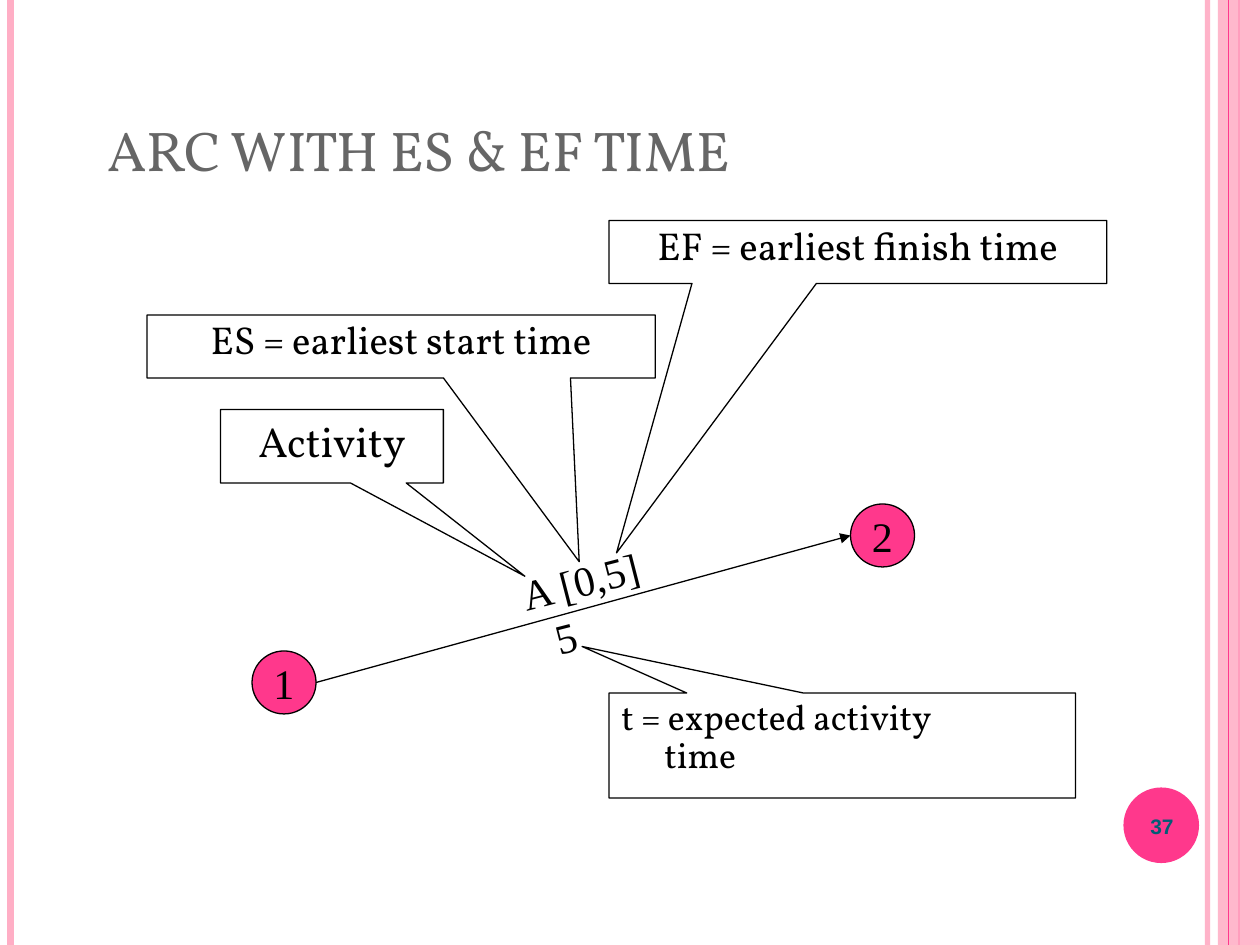
from pptx import Presentation
from pptx.dml.color import RGBColor
from pptx.enum.shapes import MSO_CONNECTOR, MSO_SHAPE
from pptx.enum.text import MSO_ANCHOR, PP_ALIGN
from pptx.oxml.ns import qn
from pptx.util import Pt
from lxml.etree import SubElement

PINK, PALE, BLACK, WHITE = "FF388C", "FFAEC5", "000000", "FFFFFF"
SERIF, ROMAN = "Vollkorn", "Times New Roman"
WIDTH, HEIGHT = 720, 540


def rgb(color):
    """Turn a hex string into a colour."""
    return RGBColor.from_string(color)


def set_alpha(fill, percent):
    """Make a solid fill partly transparent."""
    color = fill._xPr.find(qn("a:solidFill"))[0]
    SubElement(color, qn("a:alpha")).set("val", str(percent * 1000))


def write(shape, lines, size, font, color=BLACK, bold=False,
          align=PP_ALIGN.CENTER, anchor=MSO_ANCHOR.TOP, spacing=None,
          wrap=True, indent=0):
    """Write one paragraph per line; lines after the first are indented."""
    tf = shape.text_frame
    tf.word_wrap, tf.vertical_anchor = wrap, anchor
    for i, line in enumerate(lines):
        p = tf.paragraphs[0] if i == 0 else tf.add_paragraph()
        p.alignment = align
        if spacing:
            p.line_spacing = spacing
        if i and indent:
            p._p.get_or_add_pPr().set("marL", str(Pt(indent)))
        r = p.add_run()
        r.text = line
        r.font.size, r.font.name, r.font.bold = Pt(size), font, bold
        r.font.color.rgb = rgb(color)


def add_shape(s, kind, box, fill, outline=None):
    """Add a filled preset shape, with a thin outline if a colour is given."""
    sp = s.shapes.add_shape(kind, *map(Pt, box))
    sp.shadow.inherit = False
    sp.fill.solid()
    sp.fill.fore_color.rgb = rgb(fill)
    if outline:
        sp.line.color.rgb = rgb(outline)
        sp.line.width = Pt(0.74)
    else:
        sp.line.fill.background()
    return sp


def add_line(s, start, end, color, width, alpha=None, arrow=False):
    """Add a straight line, optionally transparent or with an arrowhead."""
    line = s.shapes.add_connector(MSO_CONNECTOR.STRAIGHT,
                                  *map(Pt, (*start, *end)))
    line.line.color.rgb = rgb(color)
    line.line.width = Pt(width)
    if alpha:
        set_alpha(line.line.fill, alpha)
    if arrow:
        SubElement(line.line._get_or_add_ln(), qn("a:tailEnd")).set("type", "triangle")
    SubElement(line._element.spPr, qn("a:effectLst"))


def add_node(s, label, left, top):
    """Add a numbered event node."""
    sp = add_shape(s, MSO_SHAPE.FLOWCHART_CONNECTOR, (left, top, 36.6, 36),
                   PINK, BLACK)
    write(sp, [label], 24, ROMAN, anchor=MSO_ANCHOR.MIDDLE, wrap=False)


def add_callout(s, lines, box, tip, size, **style):
    """Add a callout whose pointer ends at the tip."""
    sp = add_shape(s, MSO_SHAPE.RECTANGULAR_CALLOUT, box, WHITE, BLACK)
    left, top, width, height = box
    sp.adjustments[0] = (tip[0] - left) / width - 0.5
    sp.adjustments[1] = (tip[1] - top) / height - 0.5
    write(sp, lines, size, SERIF, **style)


def add_text(s, lines, box, size, font, **style):
    """Add a text box."""
    sp = s.shapes.add_textbox(*map(Pt, box))
    write(sp, lines, size, font, **style)
    return sp


def add_frame(s):
    """Draw the side stripes and the page number disc."""
    for x, color, width, alpha in [(690, PALE, 3, 93), (6, PALE, 4.5, None),
                                   (708, PINK, 1.5, None)]:
        add_line(s, (x, 0), (x, HEIGHT), color, width, alpha)
    band = add_shape(s, MSO_SHAPE.RECTANGLE, (696, 0, 24, HEIGHT), PALE)
    set_alpha(band.fill, 87)
    add_line(s, (702, 0), (702, HEIGHT), PINK, 0.74)
    add_shape(s, MSO_SHAPE.OVAL, (642, 450, 43.2, 43.2), PINK)
    add_text(s, ["37"], (640, 451.5, 48, 41), 12, "Arial", color="045C75",
             bold=True, anchor=MSO_ANCHOR.MIDDLE)


def add_title(s, text):
    """Place and fill the title placeholder."""
    sp = s.shapes.title
    sp.left, sp.top, sp.width, sp.height = map(Pt, (54, 54, 618, 54))
    write(sp, [text], 32, SERIF, "666666", align=PP_ALIGN.LEFT,
          anchor=MSO_ANCHOR.BOTTOM)


def add_arc(s):
    """Draw the activity arc between its two nodes, with its label."""
    add_node(s, "1", 144, 372)
    add_node(s, "2", 486, 288)
    add_line(s, (180.6, 390), (486, 306), BLACK, 0.74, arrow=True)
    label = add_text(s, ["A [0,5]", "5"], (294, 313, 85, 65), 24, ROMAN,
                     align=PP_ALIGN.LEFT, indent=12)
    label.rotation = 345.5


def main():
    """Build the slide and save it."""
    prs = Presentation()
    prs.slide_width, prs.slide_height = Pt(WIDTH), Pt(HEIGHT)
    s = prs.slides.add_slide(prs.slide_layouts[5])
    add_frame(s)
    add_title(s, "ARC WITH ES & EF TIME")
    add_arc(s)
    add_callout(s, ["Activity"], (126, 234, 127.4, 42), (300, 329.3), 24)
    add_callout(s, ["ES = earliest start time"], (84, 180, 290.4, 36),
                (331, 321), 22.2, spacing=0.9)
    add_callout(s, ["EF = earliest finish time"], (348, 126, 284.4, 36),
                (352.3, 316), 22.2, spacing=0.9)
    add_callout(s, ["t = expected activity", "time"], (348, 396, 266.6, 60),
                (332.6, 369.4), 20.4, spacing=0.9, align=PP_ALIGN.LEFT,
                indent=24.5)
    prs.save("out.pptx")


main()
